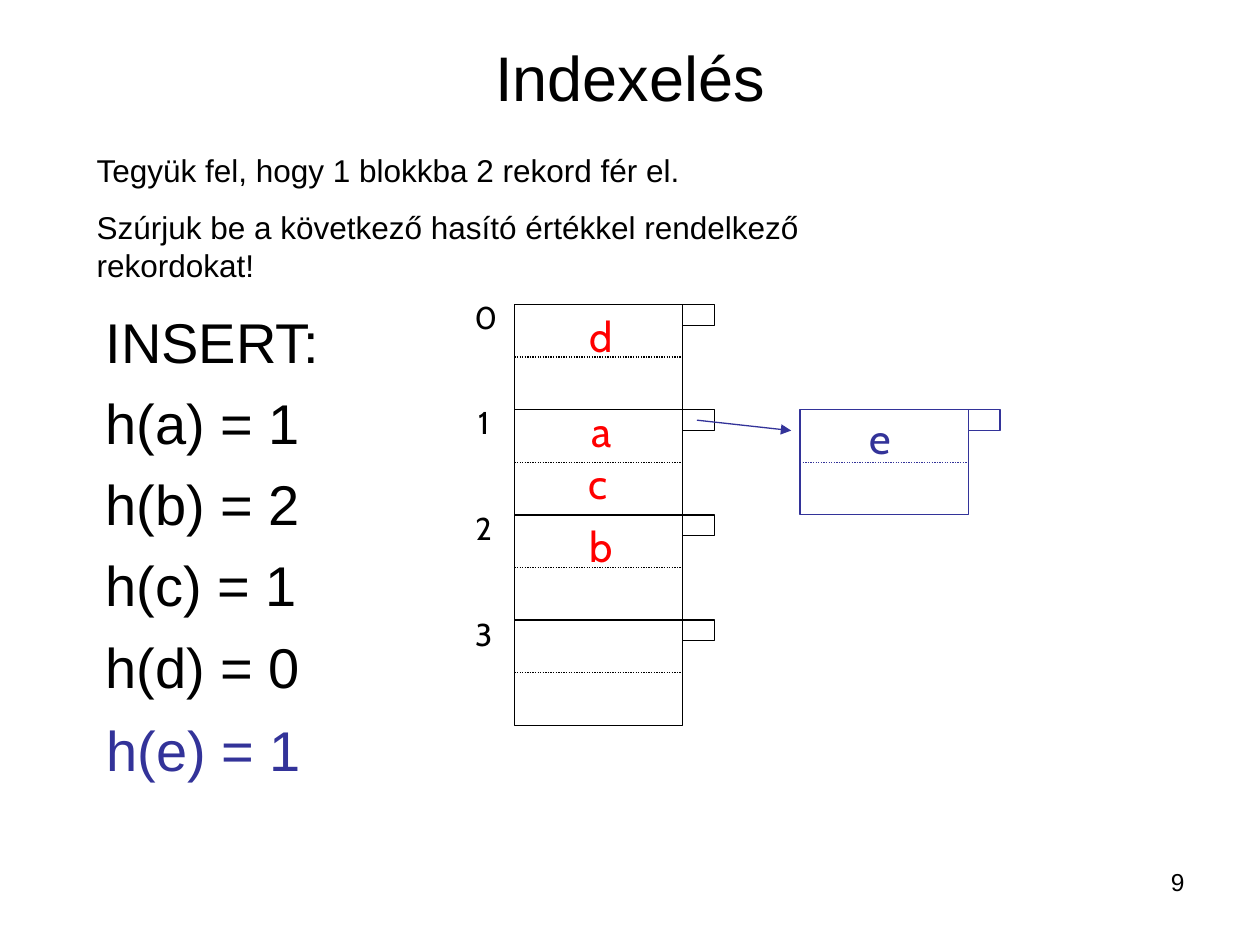
import pptx
import pptx.dml.color
import pptx.enum.dml
import pptx.enum.shapes
import pptx.enum.text
import pptx.oxml
import pptx.oxml.ns
import pptx.util

Cm = pptx.util.Cm
ALIGN = pptx.enum.text.PP_ALIGN
ANCHOR = pptx.enum.text.MSO_ANCHOR
COLORS = {"black": "000000", "white": "FFFFFF", "red": "FF0000", "blue": "333399"}
BLOCK_WIDTH, BLOCK_HEIGHT = 3.39, 2.12
SLOT_WIDTH, SLOT_HEIGHT = 0.64, 0.42


def rgb(name):
    return pptx.dml.color.RGBColor.from_string(COLORS[name])


class SlideBuilder:
    body_font = "Arial"
    diagram_font = "Cabin"
    line_width = pptx.util.Pt(0.75)

    def __init__(self, page):
        self.page = page

    def text(self, left, top, width, height, lines, size, color="black", font=None,
             align=ALIGN.LEFT, anchor=ANCHOR.TOP, gap=0, wrap=True):
        box = self.page.shapes.add_textbox(Cm(left), Cm(top), Cm(width), Cm(height))
        frame = box.text_frame
        frame.word_wrap = wrap
        frame.vertical_anchor = anchor
        frame.text = "\n".join(lines)
        for index, para in enumerate(frame.paragraphs):
            para.alignment = align
            if index:
                para.space_before = pptx.util.Pt(gap)
            for span in para.runs:
                span.font.name = font or self.body_font
                span.font.size = pptx.util.Pt(size)
                span.font.color.rgb = rgb(color)

    def record(self, left, top, letter, color):
        self.text(left, top, 1, 1.27, [letter], 24, color, self.diagram_font,
                  ALIGN.CENTER, ANCHOR.MIDDLE, wrap=False)

    def rectangle(self, left, top, width, height, color):
        shape = self.page.shapes.add_shape(
            pptx.enum.shapes.MSO_SHAPE.RECTANGLE, Cm(left), Cm(top), Cm(width), Cm(height))
        shape.shadow.inherit = False
        shape.fill.solid()
        shape.fill.fore_color.rgb = rgb("white")
        shape.line.color.rgb = rgb(color)
        shape.line.width = self.line_width

    def line(self, start, end, color, dotted=False, arrow=False):
        connector = self.page.shapes.add_connector(
            pptx.enum.shapes.MSO_CONNECTOR.STRAIGHT, *map(Cm, start + end))
        connector.line.color.rgb = rgb(color)
        connector.line.width = self.line_width
        if dotted:
            connector.line.dash_style = pptx.enum.dml.MSO_LINE.ROUND_DOT
        properties = connector._element.spPr
        if arrow:
            head = pptx.oxml.parse_xml(
                f'<a:tailEnd {pptx.oxml.ns.nsdecls("a")} type="triangle"/>')
            properties.find(pptx.oxml.ns.qn("a:ln")).append(head)
        properties.append(pptx.oxml.parse_xml(
            f'<a:effectLst {pptx.oxml.ns.nsdecls("a")}/>'))

    def block(self, left, top, color):
        right, middle = left + BLOCK_WIDTH, top + BLOCK_HEIGHT / 2
        self.rectangle(left, top, BLOCK_WIDTH, BLOCK_HEIGHT, color)
        self.rectangle(right, top, SLOT_WIDTH, SLOT_HEIGHT, color)
        self.line((left, middle), (right, middle), color, dotted=True)


def main():
    deck = pptx.Presentation()
    deck.slide_width, deck.slide_height = Cm(25.4), Cm(19.05)
    builder = SlideBuilder(deck.slides.add_slide(deck.slide_layouts[6]))

    builder.text(1.27, 0.76, 22.86, 1.55, ["Indexelés"], 36,
                 align=ALIGN.CENTER, anchor=ANCHOR.MIDDLE)
    builder.text(1.88, 6.07, 5.11, 8.08,
                 ["INSERT:", "h(a) = 1", "h(b) = 2", "h(c) = 1", "h(d) = 0"], 32, gap=8)

    buckets = range(4)
    for bucket in buckets:
        builder.block(10.37, 6.14 + bucket * BLOCK_HEIGHT, "black")
    builder.text(9.32, 5.87, 0.86, 7.42, [str(bucket) for bucket in buckets], 18,
                 font=builder.diagram_font, align=ALIGN.CENTER, anchor=ANCHOR.MIDDLE,
                 gap=38.8, wrap=False)
    for letter, left, top in [("d", 11.62, 6.14), ("a", 11.62, 8.05),
                              ("c", 11.55, 9.1), ("b", 11.62, 10.37)]:
        builder.record(left, top, letter, "red")

    builder.text(1.9, 14.3, 4.78, 1.75, ["h(e) = 1"], 32, "blue")
    builder.block(16.13, 8.26, "blue")
    builder.line((14.05, 8.47), (15.95, 8.68), "blue", arrow=True)
    builder.record(17.24, 8.18, "e", "blue")

    builder.text(1.7, 2.92, 16, 2.95,
                 ["Tegyük fel, hogy 1 blokkba 2 rekord fér el.",
                  "Szúrjuk be a következő hasító értékkel rendelkező rekordokat!"],
                 18, gap=11.2)
    builder.text(18.21, 17.35, 5.92, 1.32, ["9"], 14, align=ALIGN.RIGHT)
    deck.save("out.pptx")


if __name__ == "__main__":
    main()
